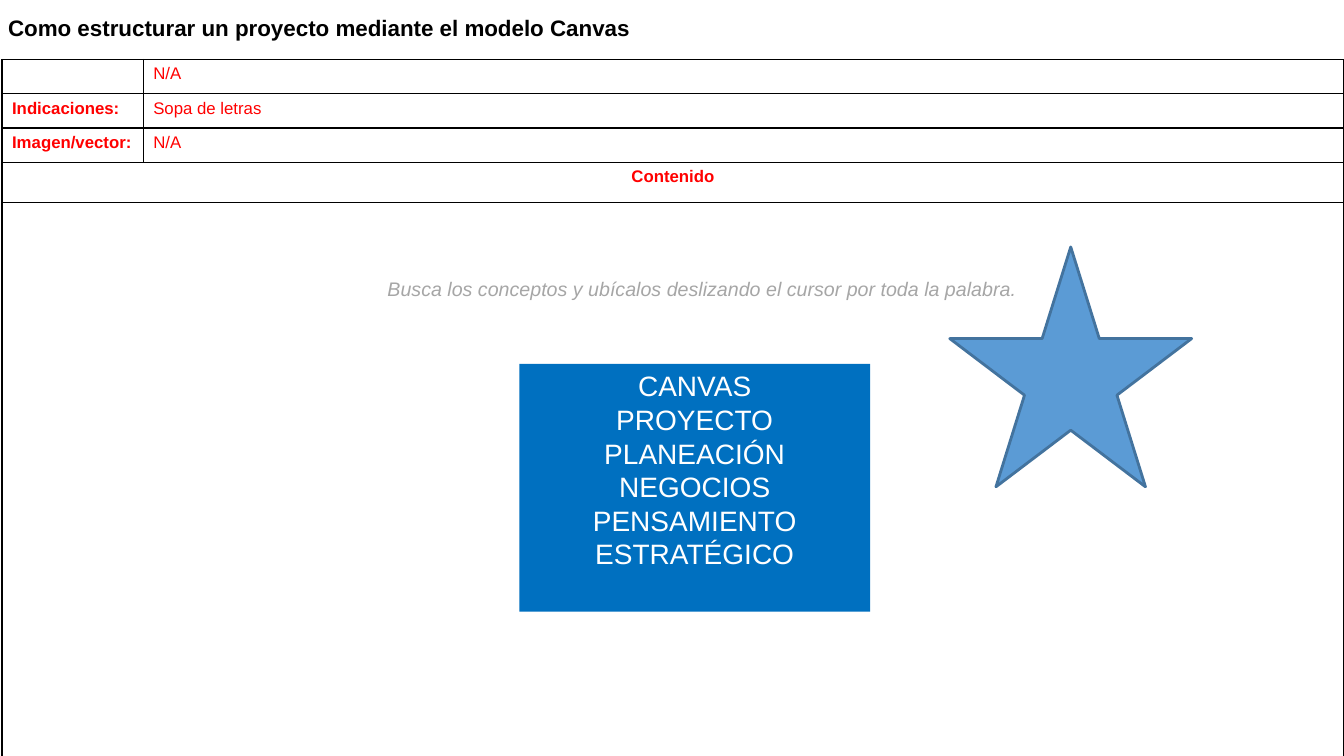
"""Build the word-search slide about the Canvas project model."""
from lxml.etree import SubElement
from pptx import Presentation
from pptx.dml.color import RGBColor
from pptx.enum.shapes import MSO_SHAPE as Shape
from pptx.enum.text import MSO_ANCHOR as Anchor, MSO_AUTO_SIZE as AutoSize, PP_ALIGN as Align
from pptx.oxml.ns import qn
from pptx.util import Inches, Pt

TITLE = "Como estructurar un proyecto mediante el modelo Canvas"
ROWS = [
    ("", "N/A"),
    ("Indicaciones:", "Sopa de letras"),
    ("Imagen/vector:", "N/A"),
    ("Contenido", ""),
    ("", ""),
]
MERGED_ROWS = (3, 4)
COLUMN_WIDTHS = (1.4, 11.91)
ROW_HEIGHTS = (0.34, 0.34, 0.34, 0.4, 6.08)
HINT = "Busca los conceptos y ubícalos deslizando el cursor por toda la palabra."
WORDS = ["CANVAS", "PROYECTO", "PLANEACIÓN", "NEGOCIOS", "PENSAMIENTO", "ESTRATÉGICO"]


def color(value):
    return RGBColor.from_string(value)


def place(left, top, width, height):
    return [Inches(value) for value in (left, top, width, height)]


def write(frame, text, size, ink, align=Align.LEFT, bold=False, italic=False):
    frame.text = text
    for para in frame.paragraphs:
        para.alignment = align
        for span in para.runs:
            font = span.font
            font.name, font.size = "Arial", Pt(size)
            font.bold, font.italic = bold, italic
            font.color.rgb = color(ink)


def fit_one_line(frame):
    frame.word_wrap = False
    frame.auto_size = AutoSize.SHAPE_TO_FIT_TEXT


def add_borders(cell):
    properties = cell._tc.get_or_add_tcPr()
    for position, side in enumerate(("lnL", "lnR", "lnT", "lnB")):
        line = properties.makeelement(qn(f"a:{side}"), {"w": str(Pt(1))})
        fill = SubElement(line, qn("a:solidFill"))
        SubElement(fill, qn("a:srgbClr"), val="000000")
        properties.insert(position, line)


def add_form(page):
    area = place(0.02, 0.59, sum(COLUMN_WIDTHS), sum(ROW_HEIGHTS))
    table = page.shapes.add_table(len(ROWS), len(COLUMN_WIDTHS), *area).table
    for column, width in zip(table.columns, COLUMN_WIDTHS):
        column.width = Inches(width)
    for index, (row, height) in enumerate(zip(table.rows, ROW_HEIGHTS)):
        row.height = Inches(height)
        merged = index in MERGED_ROWS
        for number, (cell, text) in enumerate(zip(row.cells, ROWS[index])):
            cell.fill.solid()
            cell.fill.fore_color.rgb = color("FFFFFF")
            add_borders(cell)
            align = Align.CENTER if merged else Align.LEFT
            write(cell.text_frame, text, 12, "FF0000", align, bold=number == 0)
            if not text:
                SubElement(cell.text_frame.paragraphs[0]._p, qn("a:endParaRPr"), sz="1200")
        if merged:
            table.cell(index, 0).merge(table.cell(index, 1))


def add_filled(page, kind, area, fill):
    shape = page.shapes.add_shape(kind, *place(*area))
    shape.shadow.inherit = False
    shape.fill.solid()
    shape.fill.fore_color.rgb = color(fill)
    shape.line.fill.background()
    return shape


def main():
    deck = Presentation()
    deck.slide_width, deck.slide_height = Inches(13.33), Inches(7.5)
    page = deck.slides.add_slide(deck.slide_layouts[5])

    title = page.shapes.title
    title.left, title.top, title.width, title.height = place(-0.02, 0.09, 6.44, 0.37)
    write(title.text_frame, TITLE, 16, "000000", bold=True)
    fit_one_line(title.text_frame)

    add_form(page)

    word_box = add_filled(page, Shape.RECTANGLE, (5.15, 3.61, 3.48, 2.46), "0070C0")
    word_box.text_frame.vertical_anchor = Anchor.TOP
    write(word_box.text_frame, "\n".join(WORDS), 20, "FFFFFF", Align.CENTER)

    hint = page.shapes.add_textbox(*place(3.73, 2.7, 6.47, 0.34))
    write(hint.text_frame, HINT, 14, "A6A6A6", Align.CENTER, italic=True)
    fit_one_line(hint.text_frame)

    star = add_filled(page, Shape.STAR_5_POINT, (9.42, 2.45, 2.4, 2.38), "5B9BD5")
    star.line.color.rgb = color("43739E")
    star.line.width = Pt(2)

    deck.save("out.pptx")


if __name__ == "__main__":
    main()
